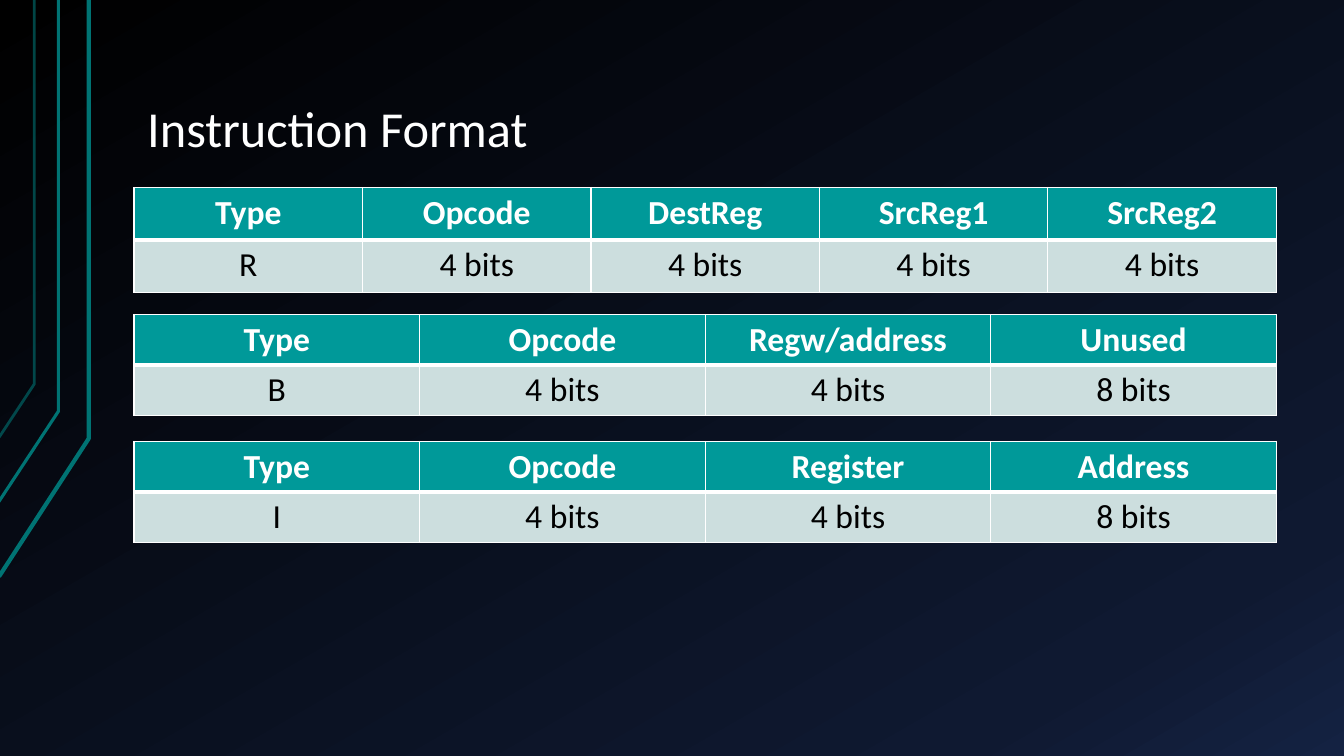
import copy
import dataclasses

import lxml.etree
import pptx
import pptx.dml.color
import pptx.enum.text
import pptx.oxml.ns
import pptx.util

PX = 9144


@dataclasses.dataclass(frozen=True)
class Theme:
    font: str = "Calibri"
    title_size: int = 36
    cell_size: int = 24
    white: str = "FFFFFF"
    black: str = "000000"
    header: str = "009999"
    body: str = "CCDEDE"
    accent: str = "007373"
    background: tuple = ((0, "000000"), (0.85, "0F1931"), (1, "142242"))
    thin: int = 1
    thick: int = 3


def rgb(value):
    return pptx.dml.color.RGBColor.from_string(value)


def add_node(parent, tag, **attributes):
    return lxml.etree.SubElement(parent, pptx.oxml.ns.qn(tag), attributes)


class SlideBuilder:
    """Draws styled elements on one slide, with lengths in px."""

    def __init__(self, slide, theme):
        self.slide = slide
        self.theme = theme

    def background(self):
        fill = self.slide.background.fill
        fill.gradient()
        fill.gradient_angle = 300
        stops = self.slide.element.find(".//" + pptx.oxml.ns.qn("a:gsLst"))
        stops.append(copy.deepcopy(stops[0]))
        for stop, (position, color) in zip(fill.gradient_stops, self.theme.background):
            stop.position = position
            stop.color.rgb = rgb(color)

    def polyline(self, points, weight, opacity):
        builder = self.slide.shapes.build_freeform(*points[0], scale=PX)
        builder.add_line_segments(points[1:], close=False)
        sp = builder.convert_to_shape()
        sp.shadow.inherit = False
        sp.fill.background()
        sp.line.color.rgb = rgb(self.theme.accent)
        sp.line.width = pptx.util.Pt(weight)
        color = sp.line.fill.fore_color
        color.rgb = rgb(self.theme.accent)
        node = sp.element.find(".//" + pptx.oxml.ns.qn("a:ln") + "//" + pptx.oxml.ns.qn("a:srgbClr"))
        add_node(node, "a:alpha", val=str(opacity * 1000))

    def format_runs(self, p, size, color, bold=False):
        for r in p.runs:
            r.font.name = self.theme.font
            r.font.size = pptx.util.Pt(size)
            r.font.bold = bold
            r.font.color.rgb = rgb(color)

    def title(self, text, left, top, width, height):
        box = self.slide.shapes.add_textbox(left * PX, top * PX, width * PX, height * PX)
        tf = box.text_frame
        tf.word_wrap = True
        tf.vertical_anchor = pptx.enum.text.MSO_ANCHOR.BOTTOM
        tf.margin_left = tf.margin_right = 13 * PX
        tf.margin_top = tf.margin_bottom = 7 * PX
        tf.text = text
        p = tf.paragraphs[0]
        p.line_spacing = 0.9
        self.format_runs(p, self.theme.title_size, self.theme.white)

    def borders(self, cell, is_header):
        thin, thick = self.theme.thin, self.theme.thick
        top, bottom = (thin, thick) if is_header else (thick, thin)
        tc_pr = cell._tc.get_or_add_tcPr()
        for side, weight in zip("LRTB", (thin, thin, top, bottom)):
            ln = add_node(tc_pr, "a:ln" + side, w=str(pptx.util.Pt(weight)))
            add_node(add_node(ln, "a:solidFill"), "a:srgbClr", val=self.theme.white)

    def cell(self, cell, text, is_header):
        theme = self.theme
        self.borders(cell, is_header)
        cell.fill.solid()
        cell.fill.fore_color.rgb = rgb(theme.header if is_header else theme.body)
        cell.text_frame.text = text
        p = cell.text_frame.paragraphs[0]
        p.alignment = pptx.enum.text.PP_ALIGN.CENTER
        color = theme.white if is_header else theme.black
        self.format_runs(p, theme.cell_size, color, is_header)

    def table(self, rows, left, top, width, row_height):
        frame = self.slide.shapes.add_table(
            len(rows), len(rows[0]), left * PX, top * PX, width * PX, row_height * len(rows) * PX
        )
        table = frame.table
        table.horz_banding = False
        for i, row in enumerate(rows):
            for j, text in enumerate(row):
                self.cell(table.cell(i, j), text, i == 0)


def main():
    prs = pptx.Presentation()
    prs.slide_width = 1333 * PX
    prs.slide_height = 750 * PX
    slide = SlideBuilder(prs.slides.add_slide(prs.slide_layouts[6]), Theme())

    slide.background()
    slide.polyline([(-1, 572), (88, 435), (88, 0)], 3, 100)
    slide.polyline([(-2, 499), (58, 408), (58, 0)], 2.25, 100)
    slide.polyline([(-1, 434), (34, 381), (34, 0)], 2, 60)

    left, width = 133, 1133
    slide.title("Instruction Format", left, 30, width, 134)

    formats = [
        (52, ("Type", "Opcode", "DestReg", "SrcReg1", "SrcReg2"), ("R",) + ("4 bits",) * 4),
        (50, ("Type", "Opcode", "Regw/address", "Unused"), ("B", "4 bits", "4 bits", "8 bits")),
        (50, ("Type", "Opcode", "Register", "Address"), ("I", "4 bits", "4 bits", "8 bits")),
    ]
    for i, (row_height, *rows) in enumerate(formats):
        slide.table(rows, left, 186 + 126 * i, width, row_height)

    prs.save("out.pptx")


if __name__ == "__main__":
    main()
